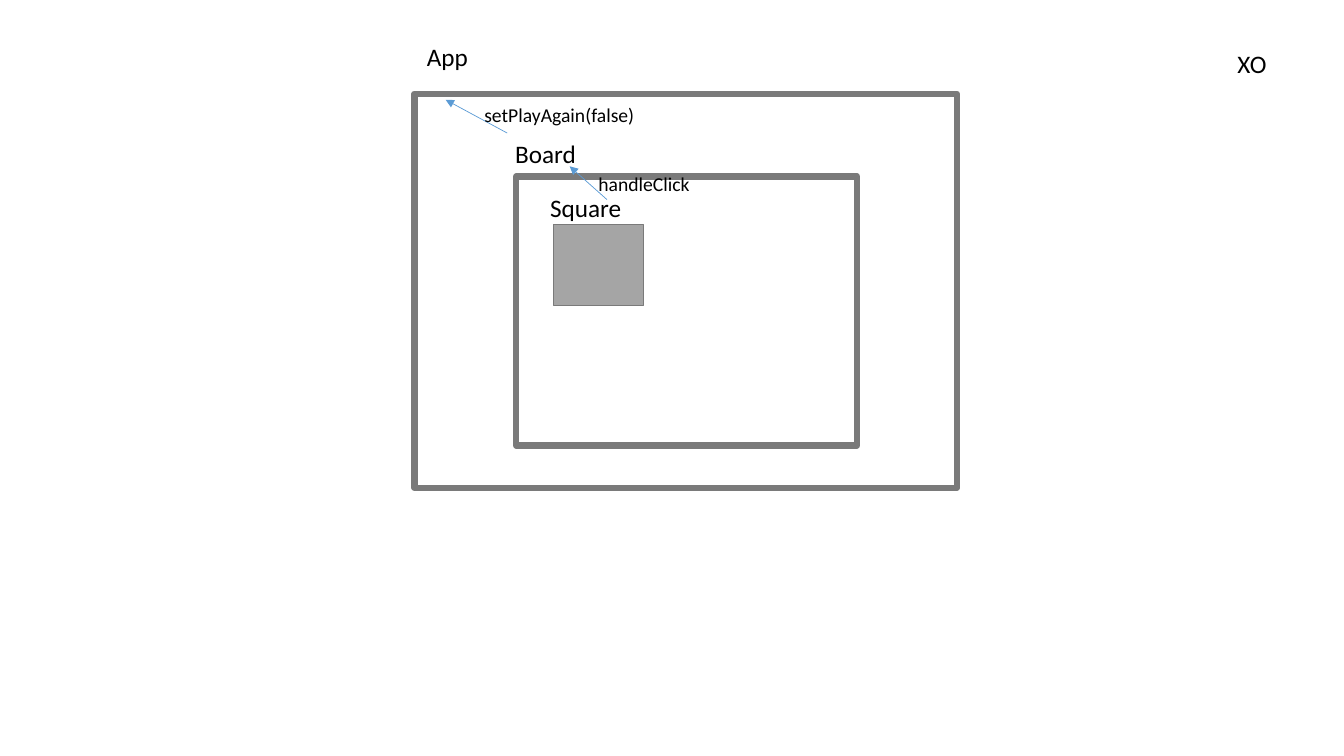
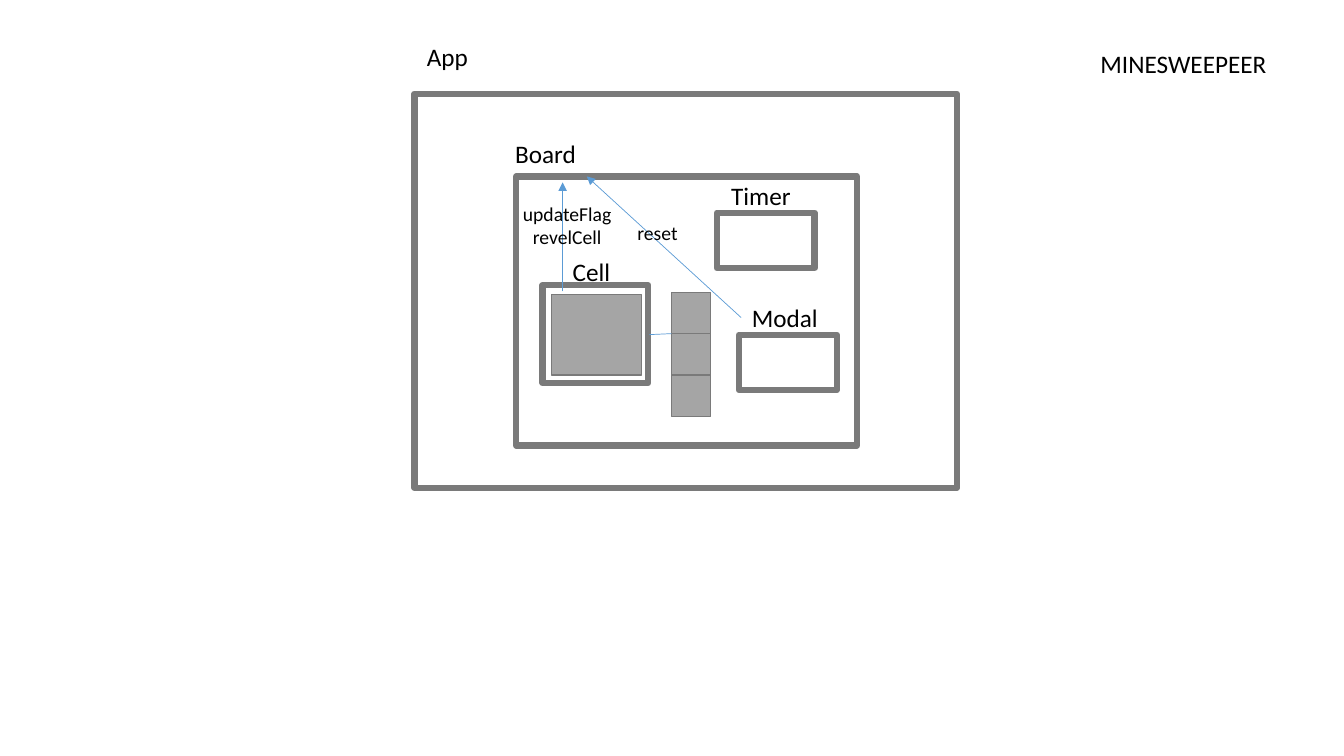
"""Build two component diagrams: XO and Minesweeper."""
from lxml import etree
from pptx import Presentation, util as u
from pptx.dml.color import RGBColor
from pptx.enum import shapes, text
from pptx.oxml.ns import qn

GREY, DARK_GREY, BLUE, BLACK = "A5A5A5", "7A7A7A", "5B9BD5", "000000"
RIGHT, CENTER = text.PP_ALIGN.RIGHT, text.PP_ALIGN.CENTER
LABEL_WIDTH, LABEL_HEIGHT, NOTE_HEIGHT = 1.14, 0.4, 0.34
SQUARE_SIZE = (0.89, 0.8)
PANEL_SIZE = (0.97, 0.55)
OPTION_TOP, OPTION_HEIGHT = 2.9, 0.41


def color(value):
    """Turn a hex string into a colour."""
    return RGBColor.from_string(value)


shared_frames = [(4.11, 0.93, 5.38, 3.91), (5.12, 1.75, 3.38, 2.67)]
shared_labels = [
    ("App", 3.6, 0.36, LABEL_WIDTH, LABEL_HEIGHT, 18, True, RIGHT),
    ("Board", 4.67, 1.32, LABEL_WIDTH, LABEL_HEIGHT, 18, True, RIGHT),
]
diagrams = [
    {
        "frames": [],
        "blocks": [(5.49, 2.23, *SQUARE_SIZE)],
        "lines": [
            (6.02, 1.98, 5.65, 1.65, True),
            (5.03, 1.32, 4.42, 0.99, True),
        ],
        "labels": [
            ("Square", 5.12, 1.86, LABEL_WIDTH, LABEL_HEIGHT, 18, True, RIGHT),
            ("handleClick", 5.82, 1.66, 1.12, NOTE_HEIGHT, 14, False, RIGHT),
            ("setPlayAgain(false)", 4.58, 0.97, 1.81, NOTE_HEIGHT, 14, True, RIGHT),
            ("XO", 12.17, 0.43, 0.49, LABEL_HEIGHT, 18, False, RIGHT),
        ],
    },
    {
        "frames": [
            (7.11, 2.11, *PANEL_SIZE),
            (5.38, 2.83, 1.05, 0.97),
            (7.33, 3.32, *PANEL_SIZE),
        ],
        "blocks": [(5.47, 2.92, *SQUARE_SIZE)] + [
            (6.66, OPTION_TOP + row * OPTION_HEIGHT, 0.39, OPTION_HEIGHT)
            for row in range(3)
        ],
        "lines": [
            (6.66, 3.31, 6.44, 3.32, False),
            (7.35, 3.15, 5.82, 1.75, True),
            (5.58, 2.89, 5.58, 1.81, True),
        ],
        "labels": [
            ("Cell", 5.01, 2.49, LABEL_WIDTH, LABEL_HEIGHT, 18, True, RIGHT),
            ("Timer", 6.8, 1.74, LABEL_WIDTH, LABEL_HEIGHT, 18, True, RIGHT),
            ("Modal", 7.35, 2.95, 0.86, LABEL_HEIGHT, 18, False, RIGHT),
            ("reset", 6.21, 2.14, 0.61, NOTE_HEIGHT, 14, False, RIGHT),
            ("updateFlag\nrevelCell", 5.08, 1.95, 1.09, 0.57, 14, False, CENTER),
            ("MINESWEEPEER", 10.8, 0.43, 1.86, 0.71, 18, False, RIGHT),
        ],
    },
]

presentation = Presentation()
presentation.slide_width = u.Inches(13.33)
presentation.slide_height = u.Inches(7.5)

for diagram in diagrams:
    slide = presentation.slides.add_slide(presentation.slide_layouts[6])

    boxes = [(box, None, 4.5) for box in shared_frames + diagram["frames"]]
    boxes += [(box, GREY, 1) for box in diagram["blocks"]]
    for box, fill, line_width in boxes:
        shape = slide.shapes.add_shape(
            shapes.MSO_SHAPE.RECTANGLE, *(u.Inches(length) for length in box))
        shape.shadow.inherit = False
        if fill:
            shape.fill.solid()
            shape.fill.fore_color.rgb = color(fill)
        else:
            shape.fill.background()
        shape.line.color.rgb = color(DARK_GREY)
        shape.line.width = u.Pt(line_width)

    for *ends, has_arrow in diagram["lines"]:
        connector = slide.shapes.add_connector(
            shapes.MSO_CONNECTOR.STRAIGHT, *(u.Inches(length) for length in ends))
        connector.line.color.rgb = color(BLUE)
        connector.line.width = u.Pt(0.5)
        if has_arrow:
            etree.SubElement(connector.line._get_or_add_ln(), qn("a:tailEnd"), type="triangle")
        etree.SubElement(connector._element.spPr, qn("a:effectLst"))

    for wording, left, top, width, height, size, wraps, alignment in shared_labels + diagram["labels"]:
        label = slide.shapes.add_textbox(
            *(u.Inches(length) for length in (left, top, width, height)))
        label.text_frame.word_wrap = wraps
        label.text_frame.text = wording
        font_format = {"name": "Calibri", "size": u.Pt(size)}
        for paragraph in label.text_frame.paragraphs:
            paragraph.alignment = alignment
            for name, value in font_format.items():
                setattr(paragraph.runs[0].font, name, value)
            paragraph.runs[0].font.color.rgb = color(BLACK)

presentation.save("out.pptx")
